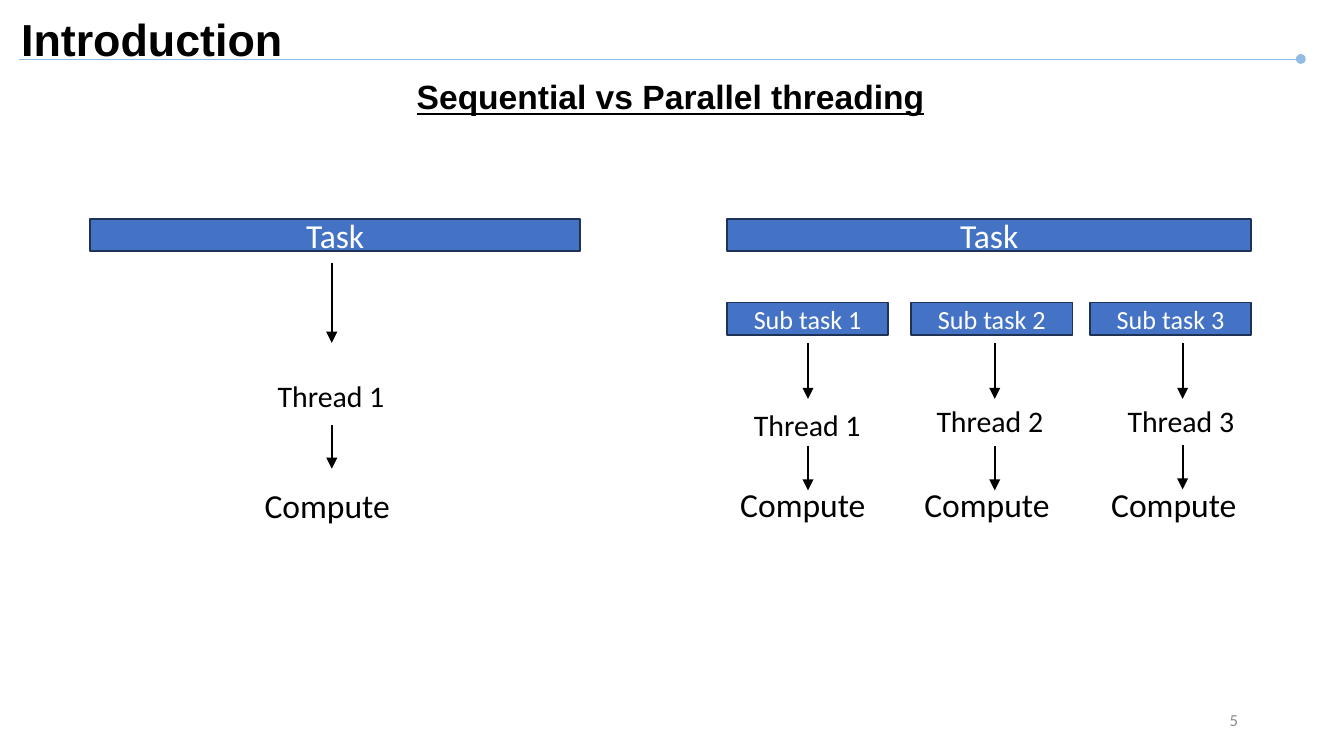
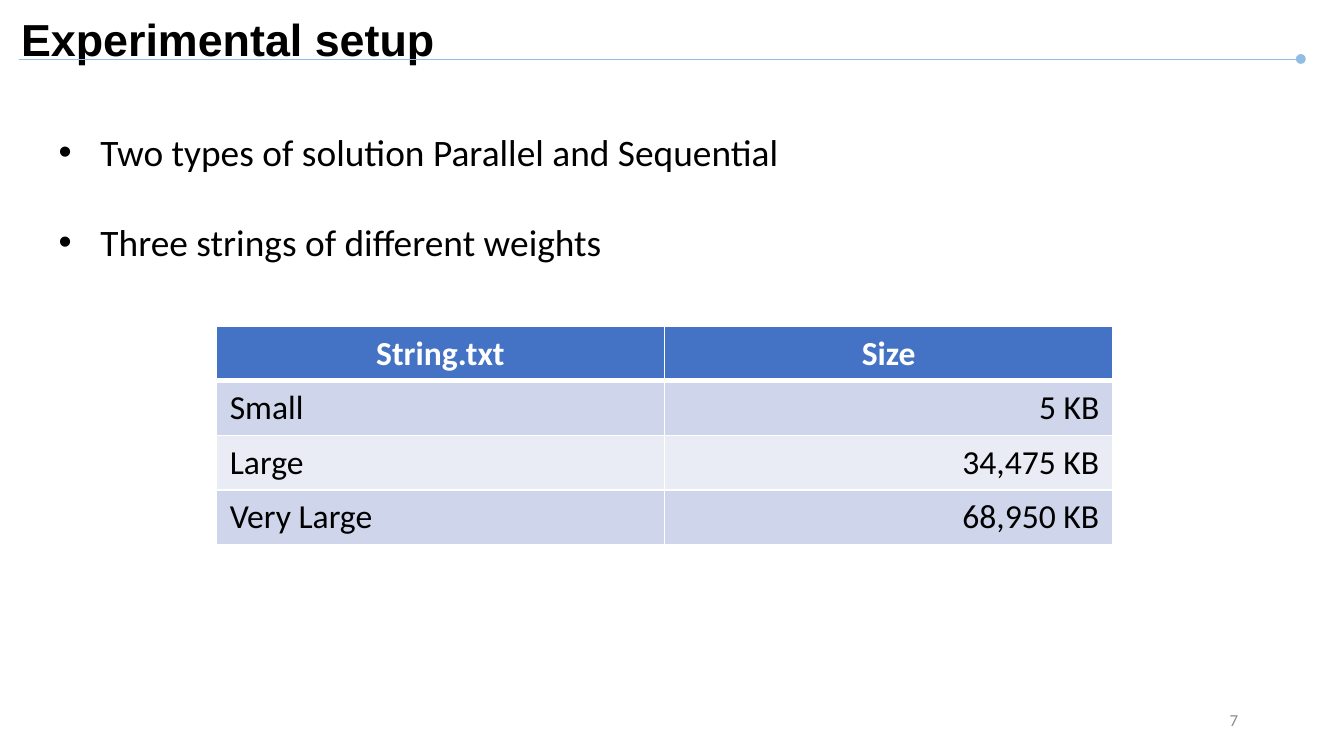
from dataclasses import dataclass

from pptx import Presentation
from pptx import util as u
from pptx.dml.color import RGBColor
from pptx.enum import shapes, text
from pptx.oxml import xmlchemy  # noqa: F401
from pptx.oxml.ns import qn
from lxml import etree

COLORS = {
    "black": "000000",
    "white": "FFFFFF",
    "accent": "91BCE3",
    "box": "4472C4",
    "box_edge": "1E3256",
    "band_dark": "CFD5EA",
    "band_light": "E9EBF5",
    "number": "8C8C8C",
}
LEFT, CENTER, RIGHT = text.PP_ALIGN.LEFT, text.PP_ALIGN.CENTER, text.PP_ALIGN.RIGHT


@dataclass(frozen=True)
class Style:
    size: float
    color: str = "black"
    font: str = "Calibri"
    bold: bool = False
    underline: bool = False
    align: text.PP_ALIGN = LEFT


@dataclass(frozen=True)
class Box:
    """A rectangle in centimetres."""
    left: float
    top: float
    width: float
    height: float

    def lengths(self) -> tuple:
        return u.Cm(self.left), u.Cm(self.top), u.Cm(self.width), u.Cm(self.height)


@dataclass(frozen=True)
class Lane:
    """One thread: arrow, thread label, arrow, compute label."""
    thread: str
    arrow_x: float
    first_arrow: tuple
    thread_at: tuple
    second_arrow: tuple
    compute_at: tuple


TITLE = Style(24, font="Arial", bold=True)
SUBTITLE = Style(18, font="Arial", bold=True, underline=True, align=CENTER)
PAGE_NUMBER = Style(9, "number", align=RIGHT)
TASK = Style(18, "white", align=CENTER)
SUBTASK = Style(14, "white", align=CENTER)
THREAD = Style(16)
COMPUTE = Style(18)
BULLET = Style(20, align=text.PP_ALIGN.JUSTIFY)

TASK_BOXES = [Box(1.7, 4.14, 9.27, 0.61), Box(13.74, 4.14, 9.91, 0.61)]
SUBTASK_LEFTS = [13.74, 17.22, 20.6]
LANES = [
    Lane("Thread 1", 6.27, (4.98, 6.48), (5.0, 7.01), (8.03, 8.86), (4.75, 9.04)),
    Lane("Thread 1", 15.27, (6.48, 7.54), (14.0, 7.57), (8.43, 9.27), (13.74, 9.02)),
    Lane("Thread 2", 18.8, (6.48, 7.54), (17.45, 7.49), (8.43, 9.27), (17.22, 9.02)),
    Lane("Thread 3", 22.35, (6.48, 7.54), (21.06, 7.49), (8.41, 9.25), (20.75, 9.02)),
]
BULLETS = ["Two types of solution Parallel and Sequential", "Three strings of different weights"]
SIZES = [
    ("String.txt", "Size"),
    ("Small", "5 KB"),
    ("Large", "34,475 KB"),
    ("Very Large", "68,950 KB"),
]


def rgb(name: str) -> RGBColor:
    return RGBColor.from_string(COLORS[name])


def write(paragraph, words: str, style: Style) -> None:
    paragraph.alignment = style.align
    run = paragraph.add_run()
    run.text = words
    run.font.size = u.Pt(style.size)
    run.font.name = style.font
    run.font.bold = style.bold
    run.font.underline = style.underline
    run.font.color.rgb = rgb(style.color)


def add_text(slide, box: Box, words: str, style: Style, middle: bool = False):
    frame = slide.shapes.add_textbox(*box.lengths()).text_frame
    frame.word_wrap = True
    if middle:
        frame.vertical_anchor = text.MSO_ANCHOR.MIDDLE
    else:
        frame.auto_size = text.MSO_AUTO_SIZE.SHAPE_TO_FIT_TEXT
    write(frame.paragraphs[0], words, style)
    return frame


def add_filled(slide, kind, box: Box, fill: str, edge: str):
    shape = slide.shapes.add_shape(kind, *box.lengths())
    shape.shadow.inherit = False
    shape.fill.solid()
    shape.fill.fore_color.rgb = rgb(fill)
    shape.line.color.rgb = rgb(edge)
    shape.line.width = u.Pt(1)
    return shape


def add_task(slide, box: Box, words: str, style: Style) -> None:
    shape = add_filled(slide, shapes.MSO_SHAPE.RECTANGLE, box, "box", "box_edge")
    shape.text_frame.word_wrap = True
    shape.text_frame.vertical_anchor = text.MSO_ANCHOR.MIDDLE
    write(shape.text_frame.paragraphs[0], words, style)


def add_line(slide, start: tuple, end: tuple, color: str, width: float, arrow: bool = False) -> None:
    points = [u.Cm(value) for value in (*start, *end)]
    connector = slide.shapes.add_connector(shapes.MSO_CONNECTOR.STRAIGHT, *points)
    connector.line.color.rgb = rgb(color)
    connector.line.width = u.Pt(width)
    properties = connector.element.spPr
    if arrow:
        etree.SubElement(properties.find(qn("a:ln")), qn("a:tailEnd"), type="triangle")
    etree.SubElement(properties, qn("a:effectLst"))


def add_lane(slide, lane: Lane) -> None:
    for top, bottom in (lane.first_arrow, lane.second_arrow):
        add_line(slide, (lane.arrow_x, top), (lane.arrow_x, bottom), "black", 1, arrow=True)
    add_text(slide, Box(*lane.thread_at, 2.57, 0.94), lane.thread, THREAD)
    add_text(slide, Box(*lane.compute_at, 3.15, 1.02), "Compute", COMPUTE)


def add_bullets(slide, box: Box, items: list) -> None:
    frame = add_text(slide, box, items[0], BULLET)
    for item in items[1:]:
        paragraph = frame.add_paragraph()
        paragraph.space_before = u.Pt(24.4)
        write(paragraph, item, BULLET)
    for paragraph in frame.paragraphs:
        properties = paragraph._p.get_or_add_pPr()
        properties.set("marL", str(u.Cm(0.79)))
        properties.set("indent", str(-u.Cm(0.79)))
        etree.SubElement(properties, qn("a:buFont"), typeface="Arial")
        etree.SubElement(properties, qn("a:buChar"), char="•")


def set_borders(cell, top: float, bottom: float) -> None:
    properties = cell._tc.get_or_add_tcPr()
    for side, width in (("L", 1), ("R", 1), ("T", top), ("B", bottom)):
        line = etree.SubElement(properties, qn(f"a:ln{side}"), w=str(u.Pt(width)))
        fill = etree.SubElement(line, qn("a:solidFill"))
        etree.SubElement(fill, qn("a:srgbClr"), val=COLORS["white"])


def add_size_table(slide, box: Box, rows: list) -> None:
    table = slide.shapes.add_table(len(rows), len(rows[0]), *box.lengths()).table
    for row_index, row in enumerate(rows):
        header = row_index == 0
        fill = "box" if header else ("band_light", "band_dark")[row_index % 2]
        for column_index, words in enumerate(row):
            cell = table.cell(row_index, column_index)
            set_borders(cell, top=3 if row_index == 1 else 1, bottom=3 if header else 1)
            cell.fill.solid()
            cell.fill.fore_color.rgb = rgb(fill)
            align = CENTER if header else (LEFT, RIGHT)[column_index]
            style = Style(18, "white" if header else "black", bold=header, align=align)
            write(cell.text_frame.paragraphs[0], words, style)


def add_base_slide(presentation, title: str, number: str):
    """Blank slide with page number, title, rule and end dot."""
    slide = presentation.slides.add_slide(presentation.slide_layouts[6])
    slide.background.fill.solid()
    slide.background.fill.fore_color.rgb = rgb("white")
    add_text(slide, Box(17.93, 13.23, 5.72, 0.76), number, PAGE_NUMBER, middle=True)
    add_text(slide, Box(0.15, -0.05, 24.84, 1.55), title, TITLE, middle=True)
    add_line(slide, (0.36, 1.12), (24.56, 1.12), "accent", 0.5)
    add_filled(slide, shapes.MSO_SHAPE.OVAL, Box(24.51, 1.04, 0.15, 0.15), "accent", "accent")
    return slide


def build_introduction(presentation) -> None:
    slide = add_base_slide(presentation, "Introduction", "5")
    add_text(slide, Box(4.32, 1.32, 16.71, 1.02), "Sequential vs Parallel threading", SUBTITLE)
    for box in TASK_BOXES:
        add_task(slide, box, "Task", TASK)
    for index, left in enumerate(SUBTASK_LEFTS, start=1):
        add_task(slide, Box(left, 5.72, 3.05, 0.61), f"Sub task {index}", SUBTASK)
    for lane in LANES:
        add_lane(slide, lane)


def build_setup(presentation) -> None:
    slide = add_base_slide(presentation, "Experimental setup", "7")
    add_bullets(slide, Box(0.86, 2.31, 23.62, 2.82), BULLETS)
    add_size_table(slide, Box(4.09, 6.17, 16.94, 4.12), SIZES)


def main() -> None:
    presentation = Presentation()
    presentation.slide_width = u.Cm(25.4)
    presentation.slide_height = u.Cm(14.29)
    build_introduction(presentation)
    build_setup(presentation)
    presentation.save("out.pptx")


if __name__ == "__main__":
    main()
